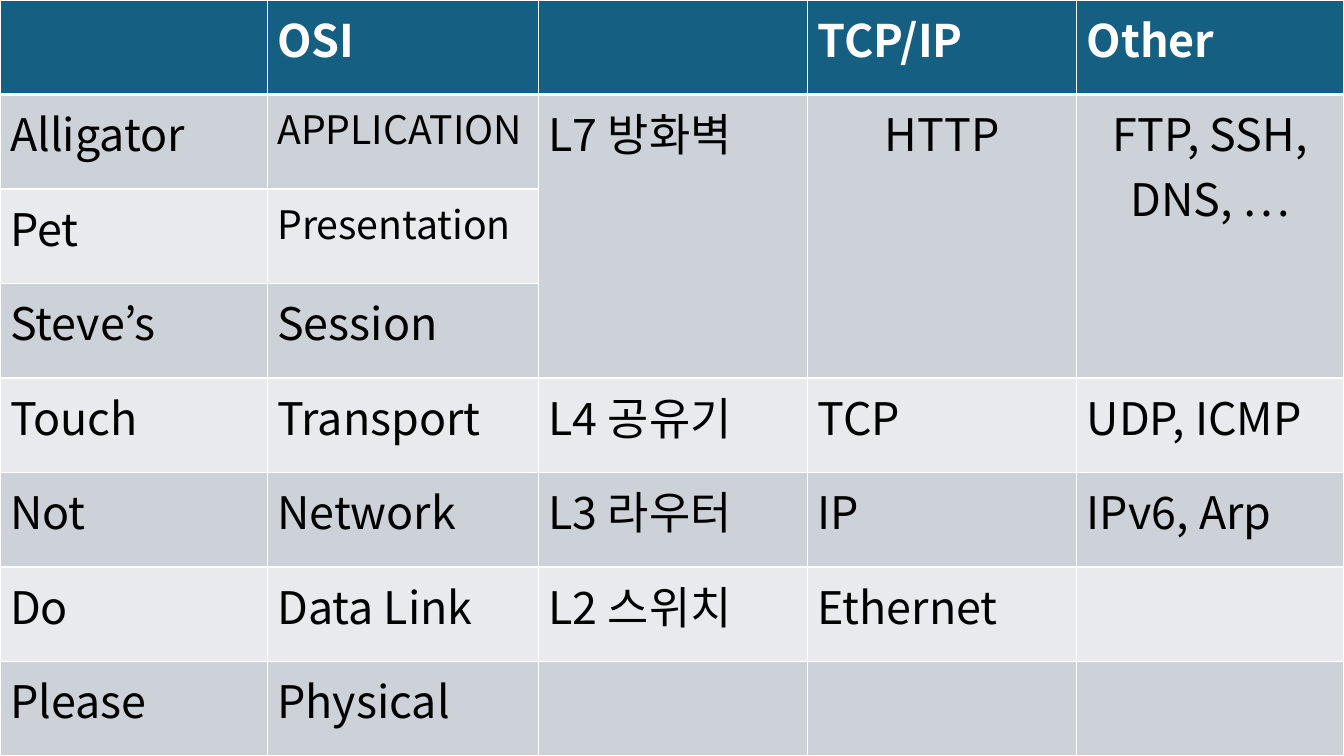
from lxml import etree
from pptx import Presentation
from pptx.dml.color import RGBColor
from pptx.enum import text
from pptx.oxml import ns
from pptx.util import Inches, Pt

COLORS = {"header": "156082", "odd": "CCD2D8", "even": "E8EAED",
          "line": "FFFFFF", "header_text": "FFFFFF", "body_text": "000000"}
FONT = "Noto Sans CJK KR"
WIDTH, HEIGHT = 13.33, 7.5
COLUMN_WIDTHS = [2.65, 2.69, 2.67, 2.67, 2.65]
LAYERS = [
    ["", "OSI", "", "TCP/IP", "Other"],
    ["Alligator", "APPLICATION", "L7 방화벽", "HTTP", "FTP, SSH, DNS, …"],
    ["Pet", "Presentation", "", "", ""],
    ["Steve’s", "Session", "", "", ""],
    ["Touch", "Transport", "L4 공유기", "TCP", "UDP, ICMP"],
    ["Not", "Network", "L3 라우터", "IP", "IPv6, Arp"],
    ["Do", "Data Link", "L2 스위치", "Ethernet", ""],
    ["Please", "Physical", "", "", ""],
]
SMALL_WORDS = {"APPLICATION", "Presentation"}
CENTERED_WORDS = {"HTTP", "FTP, SSH, DNS, …"}


def set_borders(cell, widths):
    """Draw the cell edges; widths holds points for left, right, top, bottom."""
    properties = cell._tc.get_or_add_tcPr()
    for index, (side, width) in enumerate(zip("LRTB", widths)):
        line = etree.Element(ns.qn(f"a:ln{side}"), w=str(Pt(width)))
        fill = etree.SubElement(line, ns.qn("a:solidFill"))
        etree.SubElement(fill, ns.qn("a:srgbClr"), val=COLORS["line"])
        properties.insert(index, line)


def write_cell(cell, words, is_header):
    para = cell.text_frame.paragraphs[0]
    if words in CENTERED_WORDS:
        para.alignment = text.PP_ALIGN.CENTER
    span = para.add_run()
    span.text = words
    formats = {"name": FONT, "bold": is_header,
               "size": Pt(28 if words in SMALL_WORDS else 32)}
    for name, value in formats.items():
        setattr(span.font, name, value)
    color = COLORS["header_text" if is_header else "body_text"]
    span.font.color.rgb = RGBColor.from_string(color)
    # Korean letters take the East Asian font
    etree.SubElement(span._r.get_or_add_rPr(), ns.qn("a:ea"), typeface=FONT)


def add_layer_table(page, left, top, width, height):
    box = [Inches(length) for length in (left, top, width, height)]
    table = page.shapes.add_table(len(LAYERS), len(COLUMN_WIDTHS), *box).table
    for column, column_width in zip(table.columns, COLUMN_WIDTHS):
        column.width = Inches(column_width * width / sum(COLUMN_WIDTHS))
    for row in table.rows:
        row.height = Inches(height / len(LAYERS))

    # Fills, edges and words
    for r, layer in enumerate(LAYERS):
        shade = "header" if r == 0 else "odd" if r % 2 else "even"
        for c, words in enumerate(layer):
            cell = table.cell(r, c)
            cell.fill.solid()
            cell.fill.fore_color.rgb = RGBColor.from_string(COLORS[shade])
            set_borders(cell, (1, 1, 3 if r == 1 else 1, 3 if r == 0 else 1))
            if words:
                write_cell(cell, words, r == 0)

    # The top three layers share their device and protocols
    for c in range(2, len(COLUMN_WIDTHS)):
        table.cell(1, c).merge(table.cell(3, c))


def main():
    deck = Presentation()
    deck.slide_width, deck.slide_height = Inches(WIDTH), Inches(HEIGHT)
    page = deck.slides.add_slide(deck.slide_layouts[6])
    add_layer_table(page, 0, 0, WIDTH, HEIGHT)
    deck.save("out.pptx")


if __name__ == "__main__":
    main()
